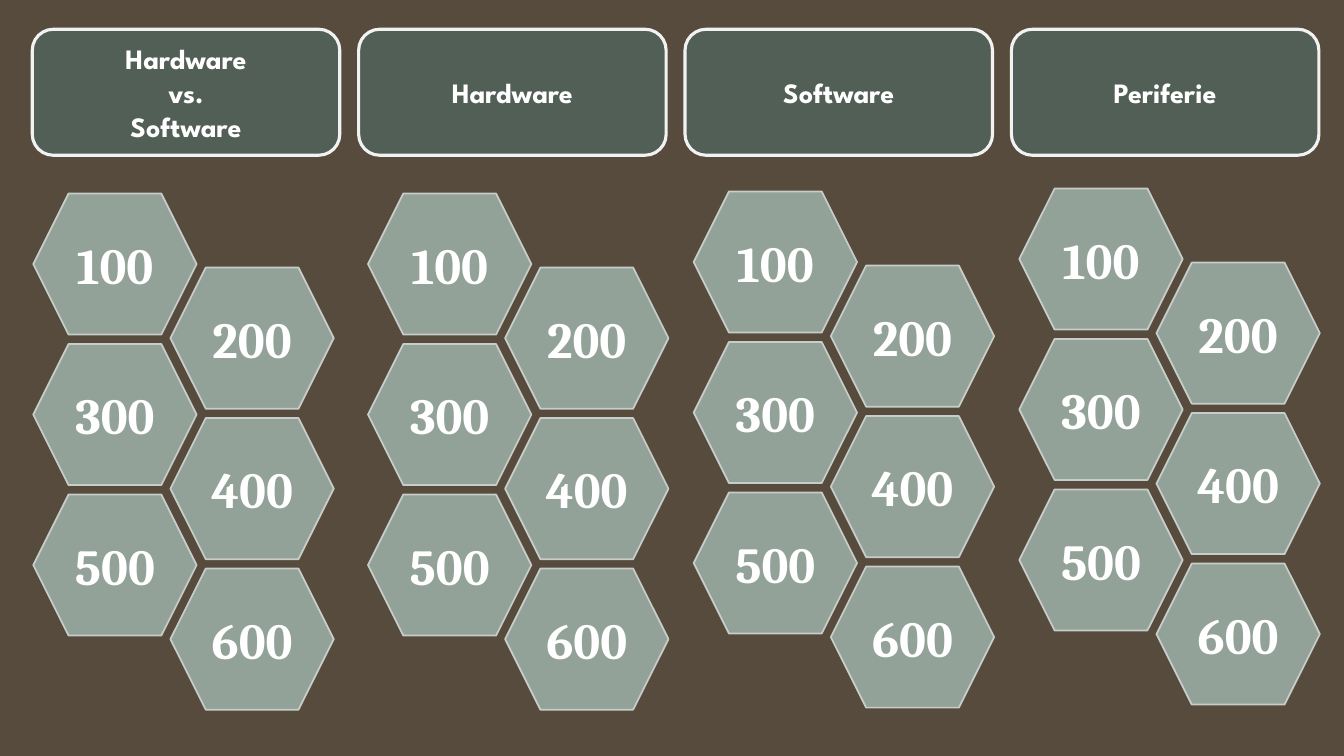
from pptx import Presentation
from pptx.dml.color import RGBColor
from pptx.enum.shapes import MSO_SHAPE
from pptx.enum.text import MSO_ANCHOR, PP_ALIGN
from pptx.util import Inches, Pt

TOPICS = [
    ("Hardware\nvs.\nSoftware", 0.33, 1.92),
    ("Hardware", 3.65, 1.92),
    ("Software", 6.88, 1.9),
    ("Periferie", 10.11, 1.87),
]
POINTS = [100, 200, 300, 400, 500, 600]

HEAD = dict(kind=MSO_SHAPE.ROUNDED_RECTANGLE, wide=3.05, high=1.25,
            fill="515F56", edge="F2F2F2", weight=2.25,
            font="League Spartan", size=20)
CELL = dict(kind=MSO_SHAPE.HEXAGON, wide=1.62, high=1.4,
            fill="93A299", edge="C9CDCA", weight=1.25,
            font="Cambria", size=36)
HEAD_LEFT, HEAD_TOP, HEAD_STEP = 0.32, 0.29, 3.237
SIDE_STEP, SIDE_DROP, ROW_STEP = 1.36, 0.735, 1.493


def color(code):
    return RGBColor.from_string(code)


def write(frame, text, font, size, tint="FFFFFF"):
    frame.word_wrap = True
    frame.vertical_anchor = MSO_ANCHOR.MIDDLE
    line = frame.paragraphs[0]
    line.text = text
    line.alignment = PP_ALIGN.CENTER
    for run in line.runs:
        run.font.name = font
        run.font.size = Pt(size)
        run.font.bold = True
        run.font.color.rgb = color(tint)


def tile(slide, text, left, top, kind, wide, high, fill, edge, weight, **style):
    shape = slide.shapes.add_shape(
        kind, Inches(left), Inches(top), Inches(wide), Inches(high))
    shape.shadow.inherit = False
    shape.fill.solid()
    shape.fill.fore_color.rgb = color(fill)
    shape.line.color.rgb = color(edge)
    shape.line.width = Pt(weight)
    write(shape.text_frame, text, **style)


def main():
    deck = Presentation()
    deck.slide_width, deck.slide_height = Inches(13.33), Inches(7.5)
    slide = deck.slides.add_slide(deck.slide_layouts[6])
    back = slide.background.fill
    back.solid()
    back.fore_color.rgb = color("564B3C")

    for col, (name, left, top) in enumerate(TOPICS):
        tile(slide, name, HEAD_LEFT + col * HEAD_STEP, HEAD_TOP, **HEAD)
        for i, value in enumerate(POINTS):
            row, side = divmod(i, 2)
            tile(slide, str(value), left + side * SIDE_STEP,
                 top + row * ROW_STEP + side * SIDE_DROP, **CELL)

    deck.save("out.pptx")


if __name__ == "__main__":
    main()
